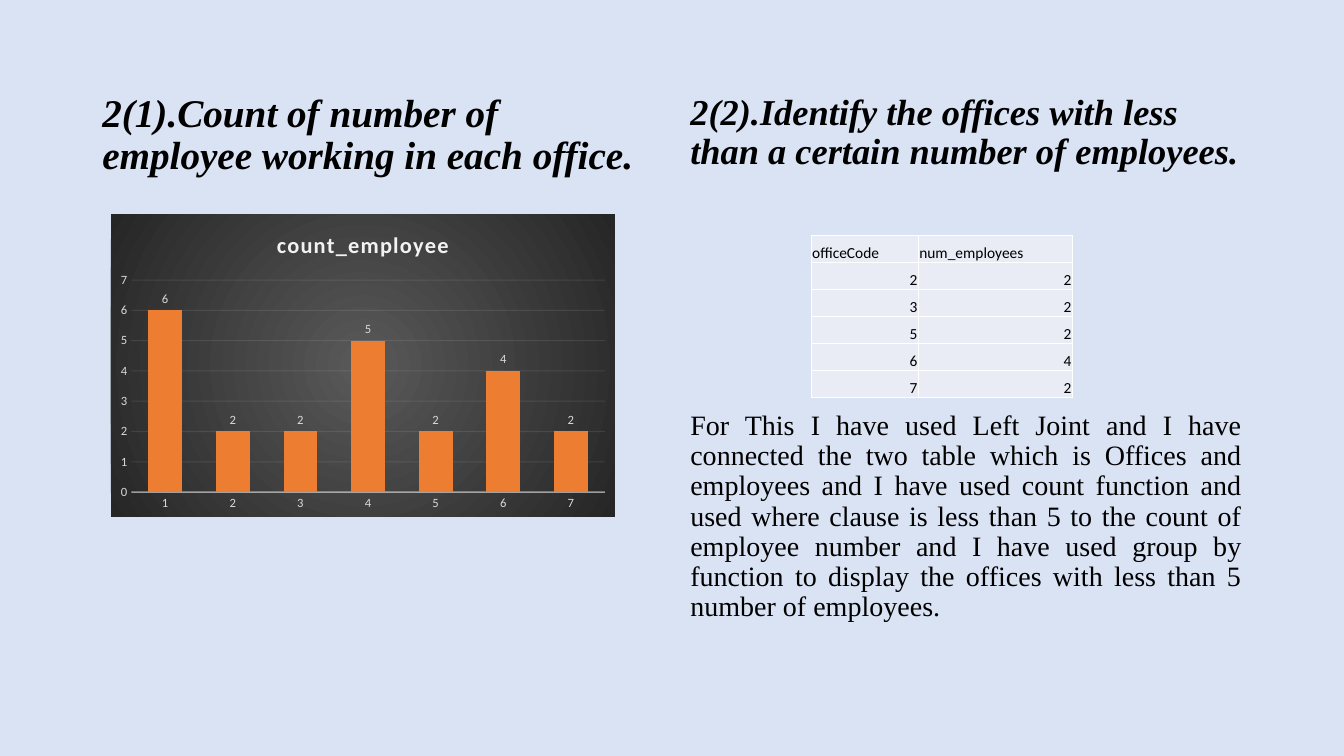
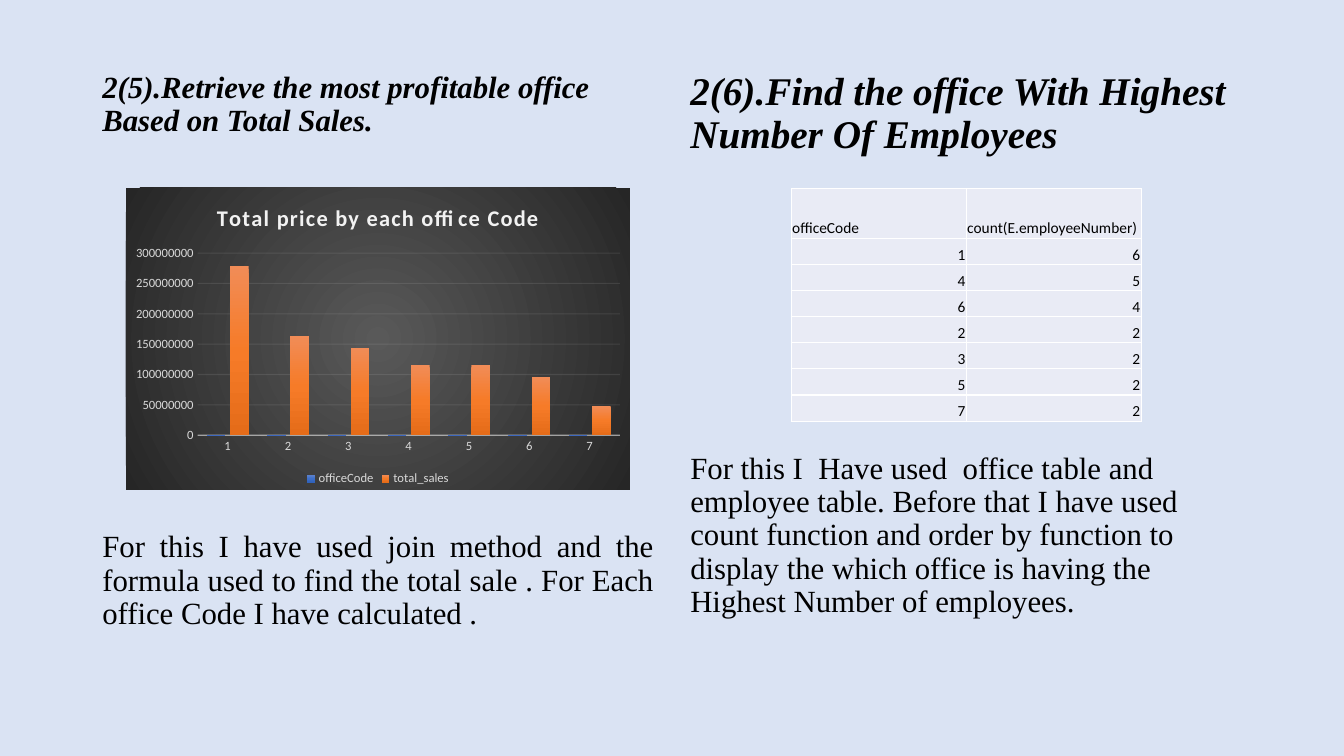
"""Build two slides of office queries with charts, tables and notes."""
import pptx
import pptx.util
import pptx.oxml
import pptx.oxml.ns
import pptx.chart.data
import pptx.dml.color
import pptx.enum.chart
import pptx.enum.text

Pt = pptx.util.Pt
RGB = pptx.dml.color.RGBColor
ALIGN = pptx.enum.text.PP_ALIGN
KINDS = pptx.enum.chart
NS = pptx.oxml.ns.nsdecls("a")

SKY = RGB(0xDA, 0xE3, 0xF3)
BLACK = RGB(0, 0, 0)
PALE = RGB(0xE9, 0xEB, 0xF5)
LIGHT = RGB(0xF2, 0xF2, 0xF2)
GREY = RGB(0xD9, 0xD9, 0xD9)
ORANGE = RGB(0xED, 0x7D, 0x31)

DARK = [(0, "595959"), (100, "262626")]
BLUES = [(0, "6183CB"), (50, "3E70CA"), (100, "3062BB")]
WARM = [(0, "F18C57"), (50, "F67B28"), (100, "E56C19")]
ROUND = '<a:path path="circle"><a:fillToRect l="50000" t="50000" r="50000" b="50000"/></a:path>'
DOWN = '<a:lin ang="5400000" scaled="0"/>'

LEFT, RIGHT, WIDE = 66, 486, 408
CODES = ["1", "2", "3", "4", "5", "6", "7"]

PAGES = [
    {
        "texts": [
            (LEFT, 63.4, 90, 28, True, ALIGN.LEFT,
             "2(1).Count of number of employee working in each office."),
            (RIGHT, 63.4, 90, 26, True, ALIGN.LEFT,
             "2(2).Identify the offices with less than a certain number of employees."),
            (RIGHT, 290, 196, 20, False, ALIGN.JUSTIFY,
             "For This I have used Left Joint and I have connected the two table which is "
             "Offices and employees and I have used count function and used where clause is "
             "less than 5 to the count of employee number and I have used group by function "
             "to display the offices with less than 5 number of employees."),
        ],
        "chart": (79.2, 153.2, "count_employee", 7, 1,
                  [("count_employee", [6, 2, 2, 5, 2, 4, 2], None)]),
        "table": (579.5, 168.5, [76.5, 110], 19.3, 19.3,
                  [("officeCode", "num_employees"),
                   (2, 2), (3, 2), (5, 2), (6, 4), (7, 2)]),
    },
    {
        "texts": [
            (LEFT, 48, 80, 22, True, ALIGN.LEFT,
             "2(5).Retrieve the most profitable office Based on Total Sales."),
            (RIGHT, 48, 80, 28, True, ALIGN.LEFT,
             "2(6).Find the office With Highest Number Of Employees"),
            (LEFT, 376, 110, 22, False, ALIGN.JUSTIFY,
             "For this I have used join method and the formula used to find the total sale . "
             "For Each office Code I have calculated ."),
            (RIGHT, 320, 166, 22, False, ALIGN.LEFT,
             "For this I  Have used  office table and employee table. Before that I have used "
             "count function and order by function to display the which office is having the "
             "Highest Number of employees."),
        ],
        "chart": (90, 134, "Total price by each office Code", 300000000, 50000000,
                  [("officeCode", [0] * 7, BLUES),
                   ("total_sales", [279000000, 163000000, 144000000, 115000000,
                                    115000000, 96000000, 48000000], WARM)]),
        "table": (565.2, 134.6, [125, 125], 35.5, 18.7,
                  [("officeCode", "count(E.employeeNumber)"),
                   (1, 6), (4, 5), (6, 4), (2, 2), (3, 2), (5, 2), (7, 2)]),
    },
]


def style(font, size, color, name="Calibri", bold=False):
    font.size, font.name, font.bold = Pt(size), name, bold
    font.color.rgb = color


def blend(props, stops, path):
    marks = "".join(f'<a:gs pos="{pos * 1000}"><a:srgbClr val="{hue}"/></a:gs>'
                    for pos, hue in stops)
    props.insert(0, pptx.oxml.parse_xml(
        f'<a:gradFill {NS} rotWithShape="1"><a:gsLst>{marks}</a:gsLst>{path}</a:gradFill>'))


deck = pptx.Presentation()
deck.slide_width, deck.slide_height = Pt(960), Pt(540)
back = deck.slide_master.background.fill
back.solid()
back.fore_color.rgb = SKY

for page in PAGES:
    slide = deck.slides.add_slide(deck.slide_layouts[6])

    for x, y, high, size, head, align, words in page["texts"]:
        frame = slide.shapes.add_textbox(Pt(x), Pt(y), Pt(WIDE), Pt(high)).text_frame
        frame.word_wrap = True
        frame.auto_size = pptx.enum.text.MSO_AUTO_SIZE.TEXT_TO_FIT_SHAPE
        frame.text = words
        para = frame.paragraphs[0]
        para.alignment, para.line_spacing = align, 0.9
        style(para.runs[0].font, size, BLACK, "Times New Roman", head)
        para.runs[0].font.italic = head

    x, y, title, top, step, rows = page["chart"]
    data = pptx.chart.data.CategoryChartData()
    data.categories = CODES
    for name, vals, stops in rows:
        data.add_series(name, vals)
    chart = slide.shapes.add_chart(KINDS.XL_CHART_TYPE.COLUMN_CLUSTERED,
                                   Pt(x), Pt(y), Pt(360), Pt(216), data).chart
    style(chart.font, 10, BLACK)
    area = pptx.oxml.parse_xml(
        f'<c:spPr {pptx.oxml.ns.nsdecls("c", "a")}><a:ln><a:noFill/></a:ln></c:spPr>')
    blend(area, DARK, ROUND)
    chart._chartSpace.find(pptx.oxml.ns.qn("c:txPr")).addprevious(area)

    chart.has_title = True
    chart.chart_title.include_in_layout = False
    chart.chart_title.text_frame.text = title
    run = chart.chart_title.text_frame.paragraphs[0].runs[0]
    style(run.font, 16, LIGHT, bold=True)
    run._r.get_or_add_rPr().set("spc", "100")

    chart.has_legend = len(rows) > 1
    if chart.has_legend:
        chart.legend.position = KINDS.XL_LEGEND_POSITION.BOTTOM
        chart.legend.include_in_layout = False
        style(chart.legend.font, 9, GREY)

    cats, vals = chart.category_axis, chart.value_axis
    for axis in (cats, vals):
        axis.major_tick_mark = axis.minor_tick_mark = KINDS.XL_TICK_MARK.NONE
        style(axis.tick_labels.font, 9, GREY)
    vals.minimum_scale, vals.maximum_scale, vals.major_unit = 0, top, step
    vals.has_major_gridlines = True
    vals.format.line.fill.background()
    for line, width, alpha in ((cats.format.line, 1, 54),
                               (vals.major_gridlines.format.line, 0.75, 10)):
        line.width = Pt(width)
        line.color.rgb = LIGHT
        tint = line._ln.find(".//" + pptx.oxml.ns.qn("a:srgbClr"))
        tint.append(pptx.oxml.parse_xml(f'<a:alpha {NS} val="{alpha * 1000}"/>'))

    plot = chart.plots[0]
    plot.gap_width, plot.overlap, plot.vary_by_categories = 100, -24, False
    for bars, (name, nums, stops) in zip(plot.series, rows):
        if stops:
            blend(bars._element.get_or_add_spPr(), stops, DOWN)
            continue
        bars.format.fill.solid()
        bars.format.fill.fore_color.rgb = ORANGE
        labels = bars.data_labels
        labels.show_value = True
        labels.position = KINDS.XL_LABEL_POSITION.OUTSIDE_END
        style(labels.font, 9, GREY)

    x, y, cols, first, rest, rows = page["table"]
    high = first + rest * (len(rows) - 1)
    grid = slide.shapes.add_table(len(rows), len(cols), Pt(x), Pt(y),
                                  Pt(sum(cols)), Pt(high)).table
    grid.first_row = grid.horz_banding = False
    for col, width in zip(grid.columns, cols):
        col.width = Pt(width)
    for r, row in enumerate(rows):
        grid.rows[r].height = Pt(rest if r else first)
        for c, value in enumerate(row):
            cell = grid.cell(r, c)
            cell.margin_left = cell.margin_right = cell.margin_top = Pt(0.7)
            cell.margin_bottom = Pt(0)
            cell.vertical_anchor = pptx.enum.text.MSO_ANCHOR.BOTTOM
            cell.text_frame.text = str(value)
            para = cell.text_frame.paragraphs[0]
            para.alignment = ALIGN.RIGHT if r else ALIGN.LEFT
            style(para.runs[0].font, 11, BLACK)
            cell.fill.solid()
            cell.fill.fore_color.rgb = PALE
            for at, side in enumerate(("lnL", "lnR", "lnT", "lnB")):
                cell._tc.get_or_add_tcPr().insert(at, pptx.oxml.parse_xml(
                    f'<a:{side} {NS} w="12700"><a:solidFill><a:srgbClr val="FFFFFF"/>'
                    f'</a:solidFill></a:{side}>'))

deck.save("out.pptx")
